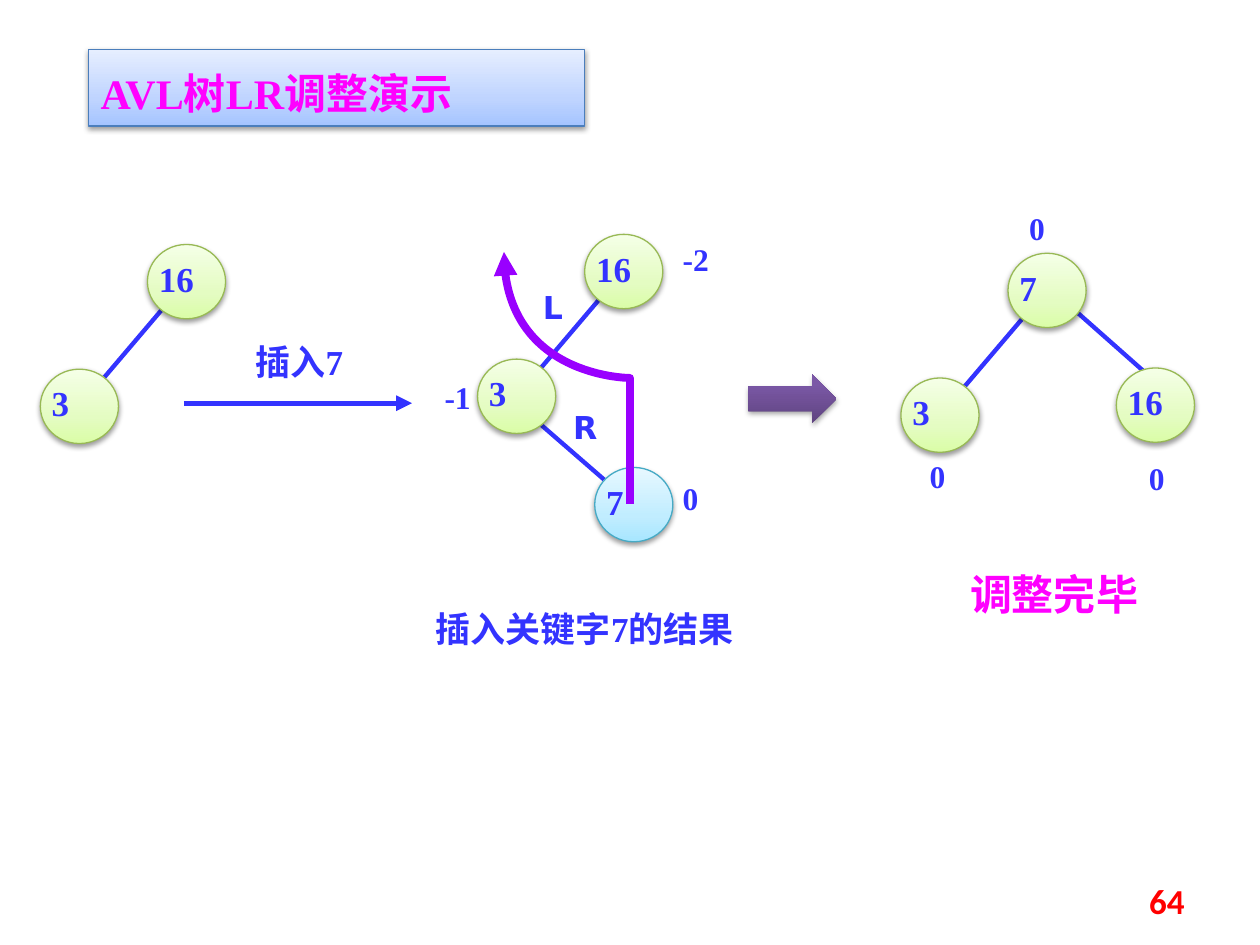
from copy import deepcopy

from lxml.etree import SubElement
from pptx import Presentation
from pptx.dml.color import RGBColor as Rgb
from pptx.enum.shapes import MSO_CONNECTOR as Connector, MSO_SHAPE as Shape
from pptx.enum.text import MSO_ANCHOR as Anchor, MSO_AUTO_SIZE as AutoSize, PP_ALIGN as Align
from pptx.oxml.ns import qn
from pptx.util import Inches, Pt

COLORS = {
    "blue": "3333FF", "magenta": "FF00FF", "violet": "9900FF", "red": "FF0000",
    "green_edge": "98B955", "cyan_edge": "46AAC5", "title_edge": "4B7EBC",
}
GRADIENTS = {
    "green": [(0, "DAFDA7"), (0.35, "E4FCC2"), (1, "F5FFE7")],
    "cyan": [(0, "A7E6FF"), (0.35, "C1EDFF"), (1, "E7F8FF")],
    "title": [(0, "A4C4FF"), (0.35, "BFD4FF"), (1, "E6EEFF")],
    "purple": [(0, "5F4480"), (0.8, "7B58A6"), (1, "7C57A8")],
}
SERIF = "Times New Roman"
CJK = "Noto Sans CJK SC"
NODE_WIDTH, NODE_HEIGHT = 0.62, 0.59


def color(name):
    return Rgb.from_string(COLORS[name])


class TreeSlide:
    def __init__(self, slide):
        self.slide = slide
        self.shapes = slide.shapes

    def set_text(self, frame, text, size, ink="blue", font=SERIF, spacing=None):
        frame.word_wrap = True
        frame.text = text
        paragraph = frame.paragraphs[0]
        paragraph.alignment = Align.LEFT
        if spacing:
            paragraph.line_spacing = spacing
        run = paragraph.runs[0]
        run.font.size = Pt(size)
        run.font.bold = True
        run.font.color.rgb = color(ink)
        run.font.name = font
        SubElement(run.font._element, qn("a:ea"), typeface=CJK)
        return paragraph

    def label(self, x, y, w, h, text, size=18, **style):
        box = self.shapes.add_textbox(Inches(x), Inches(y), Inches(w), Inches(h))
        self.set_text(box.text_frame, text, size, **style)
        box.text_frame.auto_size = AutoSize.SHAPE_TO_FIT_TEXT

    def block(self, kind, x, y, w, h, gradient, edge=None, opacity=38, distance=1.6):
        block = self.shapes.add_shape(kind, Inches(x), Inches(y), Inches(w), Inches(h))
        block.fill.gradient()
        block.fill.gradient_angle = 90
        stops = block._element.spPr.find(".//" + qn("a:gsLst"))
        stops.append(deepcopy(stops[0]))
        for stop, (position, shade) in zip(block.fill.gradient_stops, GRADIENTS[gradient]):
            stop.position = position
            stop.color.rgb = Rgb.from_string(shade)
        if edge:
            block.line.color.rgb = color(edge)
            block.line.width = Pt(0.75)
        else:
            block.line.fill.background()
        block.shadow.inherit = False
        effects = block._element.spPr.find(qn("a:effectLst"))
        shadow = SubElement(effects, qn("a:outerShdw"), blurRad=str(Pt(3.1)),
                            dist=str(Pt(distance)), dir="5400000", rotWithShape="0")
        black = SubElement(shadow, qn("a:srgbClr"), val="000000")
        SubElement(black, qn("a:alpha"), val=str(opacity * 1000))
        return block

    def node(self, x, y, key, tint="green"):
        node = self.block(Shape.OVAL, x, y, NODE_WIDTH, NODE_HEIGHT, tint, tint + "_edge")
        frame = node.text_frame
        frame.margin_left = frame.margin_right = 0
        frame.margin_top, frame.margin_bottom = Inches(0.08), Inches(0.05)
        frame.vertical_anchor = Anchor.TOP
        self.set_text(frame, key, 20, spacing=0.8)

    def line(self, x1, y1, x2, y2, width=2.5, arrow=False):
        line = self.shapes.add_connector(
            Connector.STRAIGHT, Inches(x1), Inches(y1), Inches(x2), Inches(y2))
        line.line.color.rgb = color("blue")
        line.line.width = Pt(width)
        if arrow:
            self.arrowhead(line)
        SubElement(line._element.spPr, qn("a:effectLst"))

    def arrowhead(self, shape):
        outline = shape._element.spPr.find(qn("a:ln"))
        SubElement(outline, qn("a:tailEnd"), type="triangle")

    def left_edge(self, x, y):
        self.line(x + 0.13, y + 0.5, x - 0.44, y + 1.17)

    def left_pair(self, x, y, parent, child):
        self.node(x, y, parent)
        self.node(x - 0.85, y + 0.99, child)

    def curve(self, points, ink, width):
        builder = self.shapes.build_freeform(*points[0], scale=Inches(1))
        builder.add_line_segments(points[1:], close=False)
        curve = builder.convert_to_shape()
        outline = curve._element.spPr.find(".//" + qn("a:path"))
        segments = outline.findall(qn("a:lnTo"))
        for start in range(0, len(segments), 3):
            bezier = SubElement(outline, qn("a:cubicBezTo"))
            for segment in segments[start:start + 3]:
                bezier.append(segment[0])
                outline.remove(segment)
        curve.fill.background()
        curve.line.color.rgb = color(ink)
        curve.line.width = Pt(width)
        self.arrowhead(curve)
        curve.shadow.inherit = False

    def title(self, x, y, w, h, text):
        banner = self.block(Shape.RECTANGLE, x, y, w, h, "title", "title_edge")
        banner.text_frame.vertical_anchor = Anchor.TOP
        self.set_text(banner.text_frame, text, 24, "magenta", spacing=1.25)

    def page_number(self, x, y, w, h, number):
        box = self.shapes.add_textbox(Inches(x), Inches(y), Inches(w), Inches(h))
        box.text_frame.vertical_anchor = Anchor.MIDDLE
        self.set_text(box.text_frame, number, 20, "red", "Calibri").alignment = Align.RIGHT


def main():
    deck = Presentation()
    deck.slide_width, deck.slide_height = Inches(10), Inches(7.5)
    page = TreeSlide(deck.slides.add_slide(deck.slide_layouts[6]))

    page.line(8.55, 2.48, 9.16, 3.02)
    page.left_edge(8, 2.01)
    page.left_pair(8, 2.01, "7", "3")
    page.node(8.86, 2.92, "16")
    for x, y in [(8.07, 1.61), (7.28, 3.58), (9.02, 3.59)]:
        page.label(x, y, 0.47, 0.4, "0")

    page.left_edge(1.17, 1.94)
    page.left_pair(1.17, 1.94, "16", "3")

    page.line(4.2, 3.29, 4.81, 3.82)
    page.left_edge(4.64, 1.86)
    page.left_pair(4.64, 1.86, "16", "3")
    page.node(4.72, 3.71, "7", "cyan")
    for x, y, turn in [(4.45, 3.19, "R"), (4.21, 2.24, "L")]:
        page.label(x, y, 0.39, 0.4, turn, font="DejaVu Sans")
    for x, y, balance in [(5.32, 3.75, "0"), (5.32, 1.86, "-2"), (3.43, 2.95, "-1")]:
        page.label(x, y, 0.47, 0.4, balance)

    page.label(1.93, 2.65, 1.02, 0.43, "插入7", 20)
    page.line(1.46, 3.2, 3.27, 3.2, width=3, arrow=True)
    page.label(3.36, 4.77, 2.84, 0.43, "插入关键字7的结果", 20)
    page.label(7.6, 4.46, 1.89, 0.5, "调整完毕", 24, ink="magenta", font=CJK)
    rotation = [(5.01, 3.72), (4.99, 3.59), (5.01, 3.1), (4.86, 2.89), (4.68, 2.68),
                (4.27, 2.63), (4.1, 2.44), (3.92, 2.26), (3.88, 1.93), (3.82, 1.79)]
    page.curve(rotation, "violet", 4.5)
    page.title(0.7, 0.39, 3.94, 0.61, "AVL树LR调整演示")
    page.block(Shape.RIGHT_ARROW, 5.94, 2.97, 0.7, 0.39, "purple", opacity=35, distance=1.8)
    page.page_number(7.17, 6.95, 2.33, 0.4, "64")
    deck.save("out.pptx")


if __name__ == "__main__":
    main()
